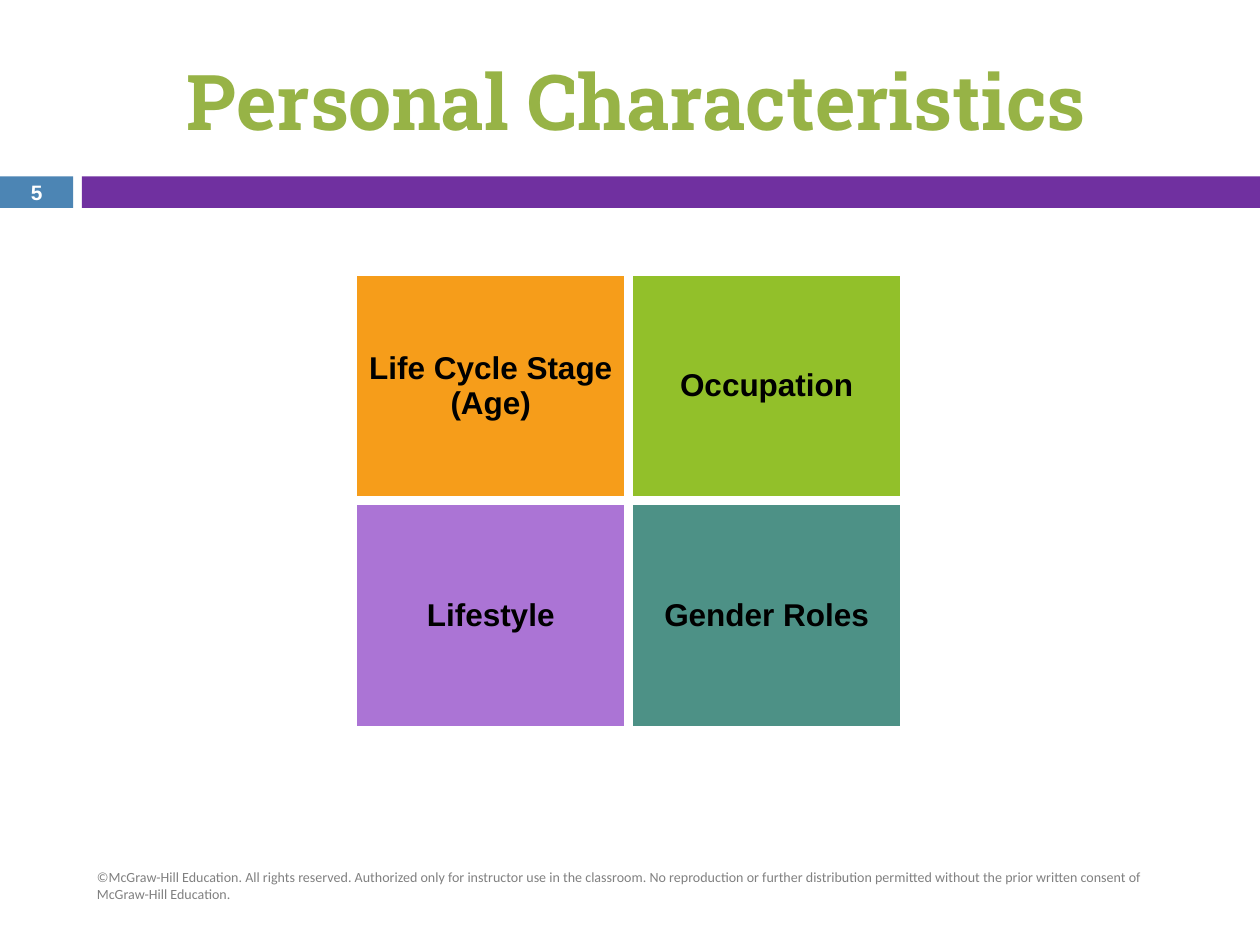
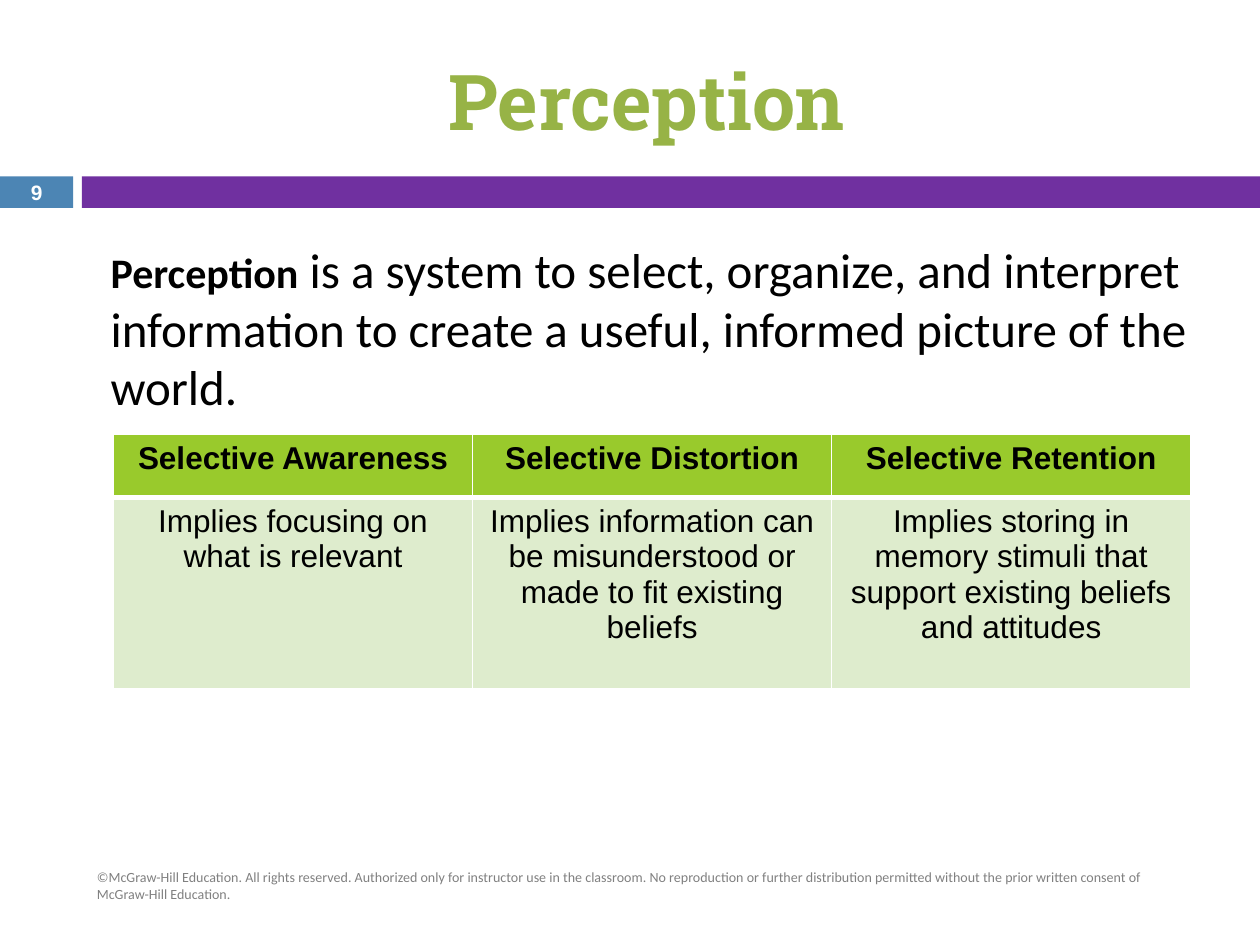
from lxml import etree
from pptx import Presentation
from pptx.dml.color import RGBColor
from pptx.enum.shapes import MSO_SHAPE
from pptx.enum.text import MSO_ANCHOR, PP_ALIGN
from pptx.oxml.ns import qn
from pptx.util import Inches, Pt

RECT = MSO_SHAPE.RECTANGLE
MID, TOP = MSO_ANCHOR.MIDDLE, MSO_ANCHOR.TOP
LEFT, CENTER = PP_ALIGN.LEFT, PP_ALIGN.CENTER

WHITE = RGBColor(0xFF, 0xFF, 0xFF)
BLACK = RGBColor(0x00, 0x00, 0x00)
GRAY = RGBColor(0x80, 0x80, 0x80)
BLUE = RGBColor(0x4C, 0x85, 0xB4)
PURPLE = RGBColor(0x70, 0x30, 0xA0)
OLIVE = RGBColor(0x97, 0xB3, 0x46)
ORANGE = RGBColor(0xF6, 0x9D, 0x1A)
GREEN = RGBColor(0x92, 0xC0, 0x2A)
LILAC = RGBColor(0xAB, 0x74, 0xD5)
TEAL = RGBColor(0x4D, 0x91, 0x86)
LIME = RGBColor(0x99, 0xCA, 0x2C)
PALE = RGBColor(0xDE, 0xEC, 0xCD)

# Text formats
TITLE = dict(name="Roboto Slab", size=Pt(44), bold=True, color=OLIVE)
NUM = dict(name="Arial", size=Pt(11.9), bold=True, color=WHITE)
FOOT = dict(name="Calibri", size=Pt(8), bold=False, color=GRAY)
HEAD = dict(name="Arial", size=Pt(18), bold=True, color=BLACK)
CELL = dict(HEAD, bold=False)
BODY = dict(name="Calibri", size=Pt(28), bold=False, color=BLACK)
TERM = dict(BODY, size=Pt(24), bold=True)

NOTICE = ("©McGraw-Hill Education. All rights reserved. Authorized only for "
          "instructor use in the classroom. No reproduction or further "
          "distribution permitted without the prior written consent of "
          "McGraw-Hill Education.")


def write(frame, runs, align):
    """Fill the first paragraph with (text, format) runs."""
    frame.word_wrap = True
    para = frame.paragraphs[0]
    para.alignment = align
    for text, form in runs:
        run = para.add_run()
        run.text = text
        for key, value in form.items():
            if key == "color":
                run.font.color.rgb = value
            else:
                setattr(run.font, key, value)


def paint(cell, fill, text, form, anchor, lines):
    """Set a cell's text, white borders (left, right, top, bottom) and fill."""
    write(cell.text_frame, [(text, form)], CENTER)
    cell.vertical_anchor = anchor
    props = cell._tc.get_or_add_tcPr()
    for side, width in zip("LRTB", lines):
        line = etree.SubElement(props, qn(f"a:ln{side}"), w=str(Pt(width)))
        solid = etree.SubElement(line, qn("a:solidFill"))
        etree.SubElement(solid, qn("a:srgbClr"), val=str(WHITE))
    cell.fill.solid()
    cell.fill.fore_color.rgb = fill


deck = Presentation()
deck.slide_width, deck.slide_height = Inches(10), Inches(7.5)

# Shared parts: bands, title, slide number, footer
slides = []
for title, num in [("Personal Characteristics ", "5"), ("Perception", "9")]:
    slide = deck.slides.add_slide(deck.slide_layouts[6])
    slides.append(slide)
    for left, width, color in [(0, 0.58, BLUE), (0.65, 9.35, PURPLE)]:
        band = slide.shapes.add_shape(
            RECT, Inches(left), Inches(1.4), Inches(width), Inches(0.25))
        band.shadow.inherit = False
        band.fill.solid()
        band.fill.fore_color.rgb = color
        band.line.fill.background()
    for spot, text, form, align in [
        ((0.67, 0.25, 8.92, 1.08), title, TITLE, CENTER),
        ((0, 1.39, 0.58, 0.27), num, NUM, CENTER),
        ((0.67, 6.83, 8.92, 0.4), NOTICE, FOOT, LEFT),
    ]:
        box = slide.shapes.add_textbox(*map(Inches, spot))
        box.text_frame.vertical_anchor = MID
        write(box.text_frame, [(text, form)], align)
first, second = slides

# Slide 1: two by two grid of traits
traits = [
    [("Life Cycle Stage (Age)", ORANGE), ("Occupation", GREEN)],
    [("Lifestyle", LILAC), ("Gender Roles", TEAL)],
]
grid = first.shapes.add_table(
    2, 2, Inches(2.8), Inches(2.15), Inches(4.38), Inches(3.65)).table
for r, row in enumerate(traits):
    for c, (text, fill) in enumerate(row):
        paint(grid.cell(r, c), fill, text, HEAD, MID, (6, 6, 6, 6))

# Slide 2: definition
box = second.shapes.add_textbox(
    Inches(0.78), Inches(1.85), Inches(8.9), Inches(1.48))
write(box.text_frame, [
    ("Perception", TERM),
    (" is a system to select, organize, and interpret information to create "
     "a useful, informed picture of the world.", BODY),
], LEFT)

# Slide 2: table of selective processes
kinds = [
    ("Selective Awareness", "Implies focusing on what is relevant"),
    ("Selective Distortion", "Implies information can be misunderstood or "
     "made to fit existing beliefs"),
    ("Selective Retention", "Implies storing in memory stimuli that support "
     "existing beliefs and attitudes"),
]
grid = second.shapes.add_table(
    2, 3, Inches(0.9), Inches(3.45), Inches(8.55), Inches(2.02)).table
grid.rows[0].height, grid.rows[1].height = Inches(0.5), Inches(1.52)
for c, (head, text) in enumerate(kinds):
    paint(grid.cell(0, c), LIME, head, HEAD, TOP, (1, 1, 1, 3))
    paint(grid.cell(1, c), PALE, text, CELL, TOP, (1, 1, 3, 1))

deck.save("out.pptx")
